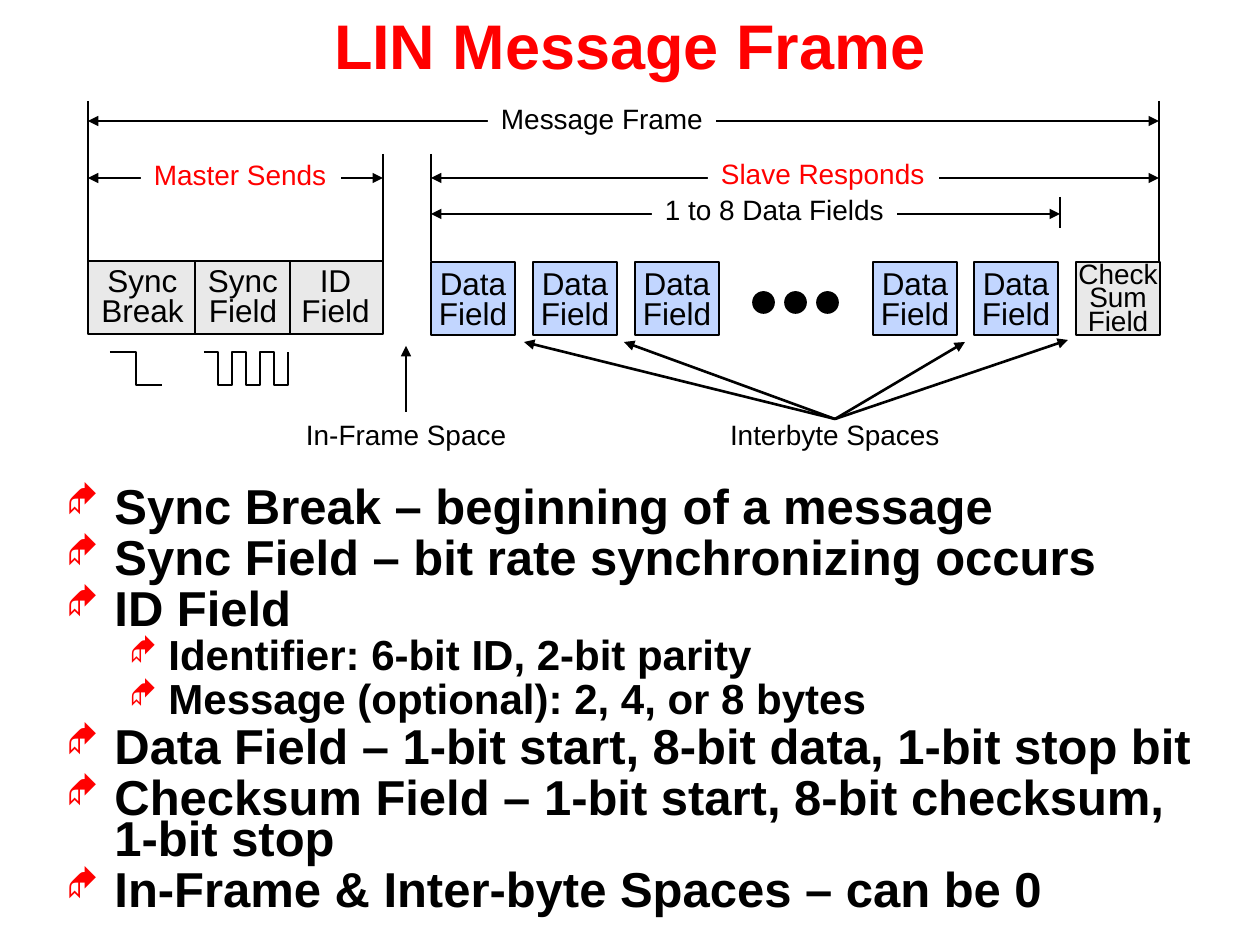
from lxml import etree
from pptx import Presentation
from pptx.dml.color import RGBColor
from pptx.enum.shapes import MSO_CONNECTOR, MSO_SHAPE
from pptx.enum.text import MSO_ANCHOR as ANCHOR, PP_ALIGN as ALIGN
from pptx.oxml.ns import qn
from pptx.util import Emu, Pt

SCALE = 914400 / 126
COLORS = {"red": "FF0000", "black": "000000", "white": "FFFFFF",
          "gray": "E9E9E9", "blue": "C2D6FF"}
LEFT, RIGHT, MASTER_END, SLAVE_START, DATA_END = 88, 1159, 383, 431, 1060
FIELD_TOP, FIELD_HEIGHT, DATA_WIDTH = 262, 73, 84
DATA_LEFTS = [431, 533, 635, 873, 974]
CHECKSUM_LEFT = 1076

BULLETS = [
    (0, "Sync Break – beginning of a message"),
    (0, "Sync Field – bit rate synchronizing occurs"),
    (0, "ID Field"),
    (1, "Identifier: 6-bit ID, 2-bit parity"),
    (1, "Message (optional): 2, 4, or 8 bytes"),
    (0, "Data Field – 1-bit start, 8-bit data, 1-bit stop bit"),
    (0, "Checksum Field – 1-bit start, 8-bit checksum, 1-bit stop"),
    (0, "In-Frame & Inter-byte Spaces – can be 0"),
]
LEVELS = [(28, 48, 48), (24, 102, 39)]


def px(length):
    return Emu(round(length * SCALE))


def rgb(name):
    return RGBColor.from_string(COLORS[name])


def add_run(paragraph, text, size, color="black", bold=False):
    run = paragraph.add_run()
    run.text = text
    run.font.name = "Arial"
    run.font.size = Pt(size)
    run.font.bold = bold
    run.font.color.rgb = rgb(color)


def add_text(shapes, box, lines, size, color="black", bold=False,
             spacing=0.8, align=ALIGN.CENTER, fill=None):
    textbox = shapes.add_textbox(*map(px, box))
    if fill:
        textbox.fill.solid()
        textbox.fill.fore_color.rgb = rgb(fill)
    frame = textbox.text_frame
    frame.word_wrap = False
    frame.vertical_anchor = ANCHOR.MIDDLE
    frame.margin_top = frame.margin_bottom = 0
    frame.margin_left = frame.margin_right = px(0 if align == ALIGN.CENTER else 13)
    for index, line in enumerate(lines):
        paragraph = frame.paragraphs[0] if index == 0 else frame.add_paragraph()
        paragraph.alignment = align
        paragraph.line_spacing = spacing
        add_run(paragraph, line, size, color, bold)


def add_shape(shapes, preset, box, fill):
    shape = shapes.add_shape(preset, *map(px, box))
    shape.shadow.inherit = False
    shape.fill.solid()
    shape.fill.fore_color.rgb = rgb(fill)
    shape.line.color.rgb = rgb("black")
    shape.line.width = Pt(1)


def add_line(shapes, start, end, width=1, arrows=()):
    line = shapes.add_connector(MSO_CONNECTOR.STRAIGHT, *map(px, start + end))
    line.line.color.rgb = rgb("black")
    line.line.width = Pt(width)
    for arrow in arrows:
        etree.SubElement(line.line._get_or_add_ln(), qn(f"a:{arrow}"), type="triangle")
    etree.SubElement(line._element.spPr, qn("a:effectLst"))


def add_span(shapes, left, right, y, label, label_box, color="black"):
    add_line(shapes, (left, y), (right, y), arrows=("headEnd", "tailEnd"))
    add_text(shapes, label_box, [label], 16, color, align=ALIGN.LEFT, fill="white")


def add_wave(shapes, points):
    builder = shapes.build_freeform(px(points[0][0]), px(points[0][1]))
    builder.add_line_segments([(px(x), px(y)) for x, y in points[1:]], close=False)
    wave = builder.convert_to_shape()
    wave.shadow.inherit = False
    wave.fill.background()
    wave.line.color.rgb = rgb("black")
    wave.line.width = Pt(1)


def add_master_fields(shapes):
    add_shape(shapes, MSO_SHAPE.RECTANGLE,
              (LEFT, 261, MASTER_END - LEFT, FIELD_HEIGHT), "gray")
    for left, width, words in [(89, 107, "Sync Break"), (195, 96, "Sync Field"),
                               (289, 93, "ID Field")]:
        add_text(shapes, (left, 262, width, FIELD_HEIGHT), words.split(), 18)
    for x in (195, 290):
        add_line(shapes, (x, 261), (x, 334))


def add_slave_fields(shapes):
    for left in DATA_LEFTS:
        add_shape(shapes, MSO_SHAPE.RECTANGLE,
                  (left, FIELD_TOP, DATA_WIDTH, FIELD_HEIGHT), "blue")
        add_text(shapes, (left - 5, 265, 94, FIELD_HEIGHT), ["Data", "Field"], 18)
    add_shape(shapes, MSO_SHAPE.RECTANGLE,
              (CHECKSUM_LEFT, FIELD_TOP, DATA_WIDTH, FIELD_HEIGHT), "gray")
    add_text(shapes, (CHECKSUM_LEFT - 10, 259, 104, 83), ["Check", "Sum", "Field"],
             16, spacing=0.7)
    for dot in range(3):
        add_shape(shapes, MSO_SHAPE.OVAL, (753 + dot * 32, 292, 21, 21), "black")


def add_spaces(shapes):
    for tip in [(524, 342), (624, 342), (965, 342), (1068, 340)]:
        add_line(shapes, tip, (835, 419), 1.5, ["headEnd"])
    add_line(shapes, (406, 346), (406, 412), 1.5, ["headEnd"])
    add_text(shapes, (717, 418, 236, 39), ["Interbyte Spaces"], 16, align=ALIGN.LEFT)
    add_text(shapes, (293, 418, 227, 39), ["In-Frame Space"], 16, align=ALIGN.LEFT)


def add_spans(shapes):
    for x, top, bottom in [(LEFT, 101, 261), (RIGHT, 101, 261), (MASTER_END, 154, 261),
                           (SLAVE_START, 154, 261), (DATA_END, 197, 228)]:
        add_line(shapes, (x, top), (x, bottom))
    add_span(shapes, SLAVE_START, DATA_END, 214, "1 to 8 Data Fields", (652, 199, 245, 27))
    add_span(shapes, SLAVE_START, RIGHT, 178, "Slave Responds", (708, 163, 231, 27), "red")
    add_span(shapes, LEFT, MASTER_END, 178, "Master Sends", (141, 164, 200, 27), "red")
    add_span(shapes, LEFT, RIGHT, 121, "Message Frame", (488, 108, 228, 27))


def add_waves(shapes):
    high, low = 352, 385
    add_wave(shapes, [(110, high), (136, high), (136, low), (162, low)])
    pulses = [(204, high)]
    for edge in range(1, 7):
        before, after = (high, low) if edge % 2 else (low, high)
        x = 204 + 14 * edge
        pulses += [(x, before), (x, after)]
    add_wave(shapes, pulses)


def add_bullets(shapes):
    frame = shapes.add_textbox(*map(px, (54, 485, 1156, 451))).text_frame
    frame.word_wrap = True
    for index, (level, text) in enumerate(BULLETS):
        size, margin, hanging = LEVELS[level]
        paragraph = frame.paragraphs[0] if index == 0 else frame.add_paragraph()
        paragraph.level = level
        paragraph.line_spacing = 0.7
        if index:
            paragraph.space_before = Pt(size * 0.2)
        props = paragraph._p.get_or_add_pPr()
        props.set("marL", str(px(margin)))
        props.set("indent", str(-px(hanging)))
        color = etree.SubElement(props, qn("a:buClr"))
        etree.SubElement(color, qn("a:srgbClr"), val=COLORS["red"])
        etree.SubElement(props, qn("a:buSzPct"), val="75000")
        etree.SubElement(props, qn("a:buFont"), typeface="Wingdings")
        etree.SubElement(props, qn("a:buChar"), char="◆")
        add_run(paragraph, text, size, bold=True)


def main():
    deck = Presentation()
    deck.slide_width, deck.slide_height = px(1260), px(945)
    slide = deck.slides.add_slide(deck.slide_layouts[6])
    add_text(slide.shapes, (0, 0, 1260, 88), ["LIN Message Frame"], 36,
             "red", True, spacing=1)
    add_bullets(slide.shapes)
    diagram = slide.shapes.add_group_shape().shapes
    add_master_fields(diagram)
    add_slave_fields(diagram)
    add_spaces(diagram)
    add_spans(diagram)
    add_waves(diagram)
    deck.save("out.pptx")


if __name__ == "__main__":
    main()
